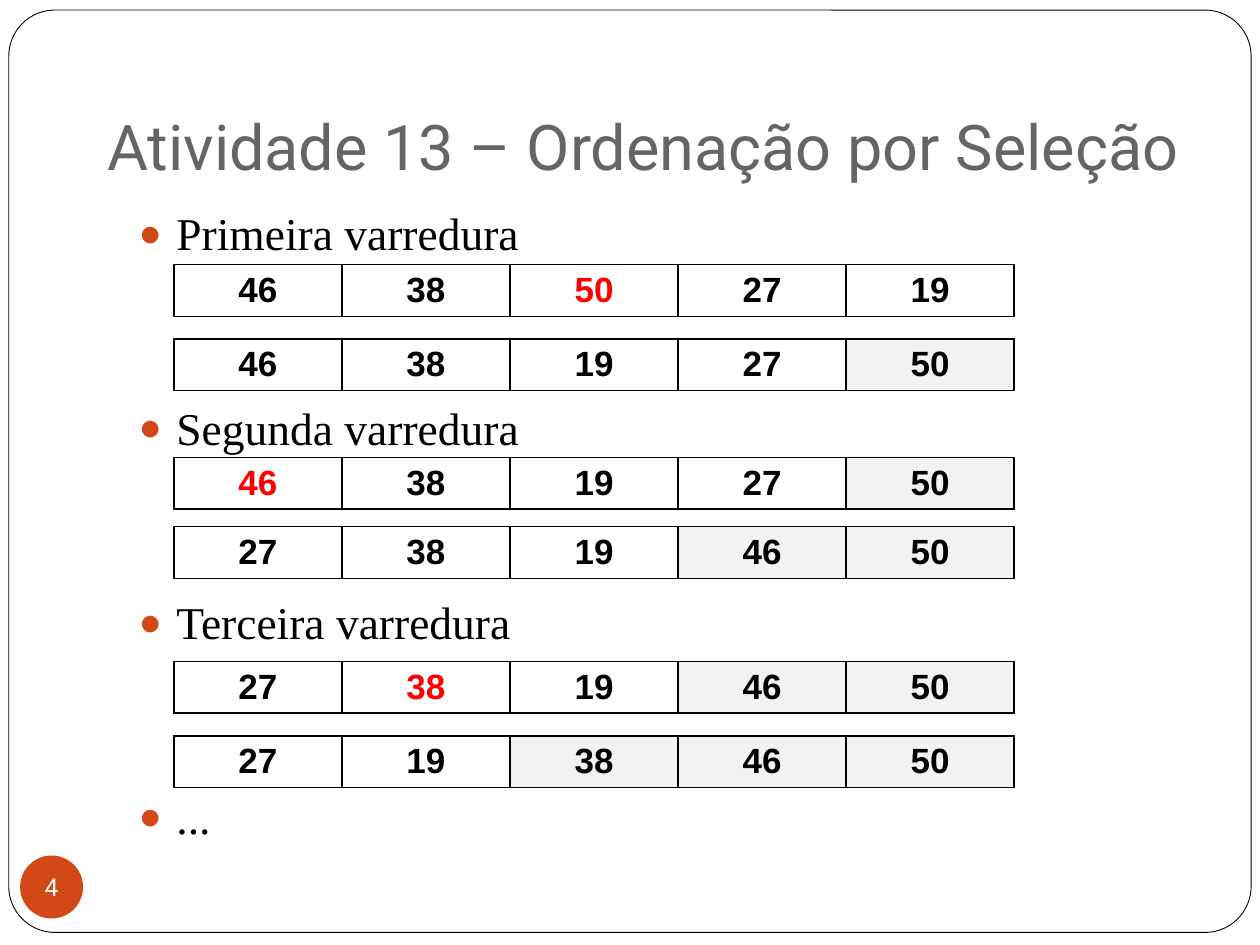
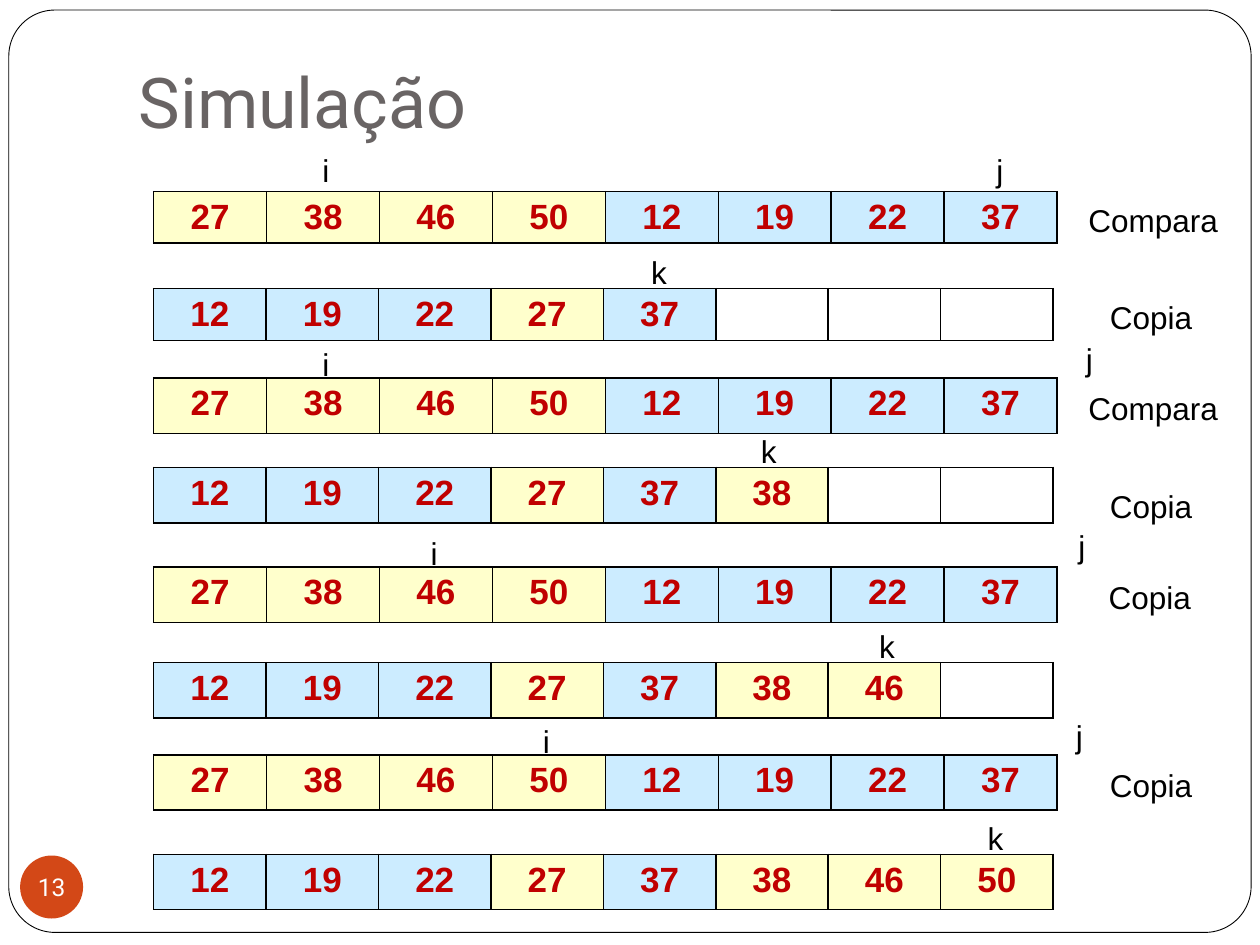
from lxml import etree
from pptx import Presentation
from pptx.dml.color import RGBColor
from pptx.enum.shapes import MSO_SHAPE
from pptx.enum.text import MSO_ANCHOR, MSO_AUTO_SIZE, PP_ALIGN
from pptx.oxml.ns import qn
from pptx.util import Emu, Pt

OVAL, ROUNDED = MSO_SHAPE.OVAL, MSO_SHAPE.ROUNDED_RECTANGLE
LEFT, CENTER = PP_ALIGN.LEFT, PP_ALIGN.CENTER
TOP, MIDDLE, BOTTOM = MSO_ANCHOR.TOP, MSO_ANCHOR.MIDDLE, MSO_ANCHOR.BOTTOM
NO_FIT = MSO_AUTO_SIZE.NONE
TITLE_AND_BODY, TITLE_ONLY = 1, 5

BLACK, WHITE, RED = "000000", "FFFFFF", "FF0000"
TITLE_GREY, ACCENT = "696464", "D34817"
SORTED_GREY, DARK_RED = "F2F2F2", "C00000"
LEFT_YELLOW, RIGHT_BLUE = "FFFFCC", "CCECFF"
HEADING_FONT, LIST_FONT, DATA_FONT = "Roboto", "Times New Roman", "Arial"

SWEEP_TITLE = "Atividade 13 – Ordenação por Seleção"
SWEEPS = ["Primeira varredura", "Segunda varredura", "Terceira varredura", "..."]
# top, values, index of the largest unsorted value, count of sorted values
SWEEP_ARRAYS = [
    (210, [46, 38, 50, 27, 19], 2, 0),
    (269, [46, 38, 19, 27, 50], None, 1),
    (363, [46, 38, 19, 27, 50], 0, 1),
    (418, [27, 38, 19, 46, 50], None, 2),
    (525, [27, 38, 19, 46, 50], 1, 2),
    (584, [27, 19, 38, 46, 50], None, 3),
]

MERGE_TITLE = "Simulação"
LEFT_HALF, RIGHT_HALF = [27, 38, 46, 50], [12, 19, 22, 37]
MERGED = sorted(LEFT_HALF + RIGHT_HALF)
# source top, result top, row height, merged count
MERGE_STEPS = [
    (152, 229, 41, 5),
    (300, 371, 44, 6),
    (450, 526, 44, 7),
    (599, 678, 44, 8),
]
POINTERS = {
    "i": [(246, 115), (246, 269), (332, 419), (421, 568)],
    "j": [(781, 115), (852, 265), (846, 413), (844, 564)],
    "k": [(507, 196), (594, 338), (688, 493), (774, 645)],
}
ACTIONS = {
    "Compara": [(854, 155), (854, 304)],
    "Copia": [(871, 232), (871, 382), (870, 454), (871, 603)],
}
LABEL_WIDTHS = {"i": 26, "j": 26, "k": 33, "Compara": 124, "Copia": 86}


def px(length):
    return Emu(length * 9144)


def box(*lengths):
    return [px(length) for length in lengths]


def rgb(color):
    return RGBColor.from_string(color)


def style(paragraph, font, size, color, bold=False, align=LEFT):
    paragraph.alignment = align
    for run in paragraph.runs:
        run.font.name = font
        run.font.size = Pt(size)
        run.font.color.rgb = rgb(color)
        run.font.bold = bold


def place(placeholder, left, top, width, height, anchor):
    placeholder.left, placeholder.top, placeholder.width, placeholder.height = box(
        left, top, width, height)
    frame = placeholder.text_frame
    frame.auto_size = NO_FIT
    frame.word_wrap = True
    frame.vertical_anchor = anchor
    frame.margin_left = frame.margin_right = px(10)
    frame.margin_top = px(5)
    return frame


def add_master_frame(prs, slide):
    border = slide.shapes.add_shape(ROUNDED, *box(7, 8, 986, 732))
    border.adjustments[0] = 0.05
    border.shadow.inherit = False
    border.fill.solid()
    border.fill.fore_color.rgb = rgb(WHITE)
    border.line.color.rgb = rgb(BLACK)
    border.line.width = Pt(0.5)
    prs.slide_master.shapes.element.insert(2, border.element)


def start_slide(prs, layout, title, title_box, title_size, number):
    slide = prs.slides.add_slide(prs.slide_layouts[layout])
    heading = place(slide.shapes.title, *title_box, BOTTOM)
    heading.margin_bottom = px(10)
    heading.text = title
    style(heading.paragraphs[0], HEADING_FONT, title_size, TITLE_GREY)

    badge = slide.shapes.add_shape(OVAL, *box(16, 679, 50, 50))
    badge.shadow.inherit = False
    badge.fill.solid()
    badge.fill.fore_color.rgb = rgb(ACCENT)
    badge.line.fill.background()
    caption = badge.text_frame
    caption.margin_left = caption.margin_right = 0
    caption.margin_top = caption.margin_bottom = 0
    caption.word_wrap = False
    caption.vertical_anchor = MIDDLE
    caption.text = str(number)
    style(caption.paragraphs[0], HEADING_FONT, 14, WHITE, align=CENTER)
    return slide


def add_bullet(paragraph):
    props = paragraph._p.get_or_add_pPr()
    props.set("marL", str(px(30)))
    props.set("indent", str(-px(30)))
    color = etree.SubElement(props, qn("a:buClr"))
    etree.SubElement(color, qn("a:srgbClr"), val=ACCENT)
    etree.SubElement(props, qn("a:buSzPct"), val="85000")
    etree.SubElement(props, qn("a:buChar"), char="●")


def add_borders(cell):
    props = cell._tc.get_or_add_tcPr()
    for position, side in enumerate(("lnL", "lnR", "lnT", "lnB")):
        line = etree.Element(qn("a:" + side), w=str(Pt(1)))
        fill = etree.SubElement(line, qn("a:solidFill"))
        etree.SubElement(fill, qn("a:srgbClr"), val=BLACK)
        props.insert(position, line)


def add_array(slide, left, top, width, height, cells):
    table = slide.shapes.add_table(
        1, len(cells), *box(left, top, width, height)).table
    table.first_row = table.horz_banding = False
    for cell, (value, color, background) in zip(table.rows[0].cells, cells):
        cell.text = str(value)
        style(cell.text_frame.paragraphs[0], DATA_FONT, 20, color, True, CENTER)
        if background:
            cell.fill.solid()
            cell.fill.fore_color.rgb = rgb(background)
        else:
            cell.fill.background()
        add_borders(cell)


def add_labels(slide, labels):
    for word, corners in labels.items():
        for left, top in corners:
            label = slide.shapes.add_textbox(
                *box(left, top, LABEL_WIDTHS[word], 40)).text_frame
            label.word_wrap = False
            label.text = word
            style(label.paragraphs[0], DATA_FONT, 18, BLACK)


def merge_cell(value):
    if value == "":
        return value, BLACK, None
    return value, DARK_RED, LEFT_YELLOW if value in LEFT_HALF else RIGHT_BLUE


def build_sweeps(prs):
    slide = start_slide(
        prs, TITLE_AND_BODY, SWEEP_TITLE, (75, 30, 875, 125), 36, 4)
    add_master_frame(prs, slide)
    body = place(slide.placeholders[1], 100, 158, 850, 547, TOP)
    body.text = "\n".join(SWEEPS)
    for position, paragraph in enumerate(body.paragraphs):
        paragraph.space_before = Pt(80 if position else 0)
        add_bullet(paragraph)
        style(paragraph, LIST_FONT, 26, BLACK)
    for top, values, largest, sorted_count in SWEEP_ARRAYS:
        first_sorted = len(values) - sorted_count
        cells = [(value,
                  RED if index == largest else BLACK,
                  SORTED_GREY if index >= first_sorted else None)
                 for index, value in enumerate(values)]
        add_array(slide, 138, top, 667, 41, cells)


def build_merge(prs):
    slide = start_slide(prs, TITLE_ONLY, MERGE_TITLE, (100, 30, 850, 93), 40, 13)
    source = [merge_cell(value) for value in LEFT_HALF + RIGHT_HALF]
    for source_top, result_top, height, count in MERGE_STEPS:
        blanks = [""] * (len(MERGED) - count)
        result = [merge_cell(value) for value in MERGED[:count] + blanks]
        add_array(slide, 122, source_top, 717, height, source)
        add_array(slide, 122, result_top, 714, height, result)
    add_labels(slide, POINTERS)
    add_labels(slide, ACTIONS)


def main():
    prs = Presentation()
    prs.slide_width, prs.slide_height = box(1000, 750)
    build_sweeps(prs)
    build_merge(prs)
    prs.save("out.pptx")


if __name__ == "__main__":
    main()
